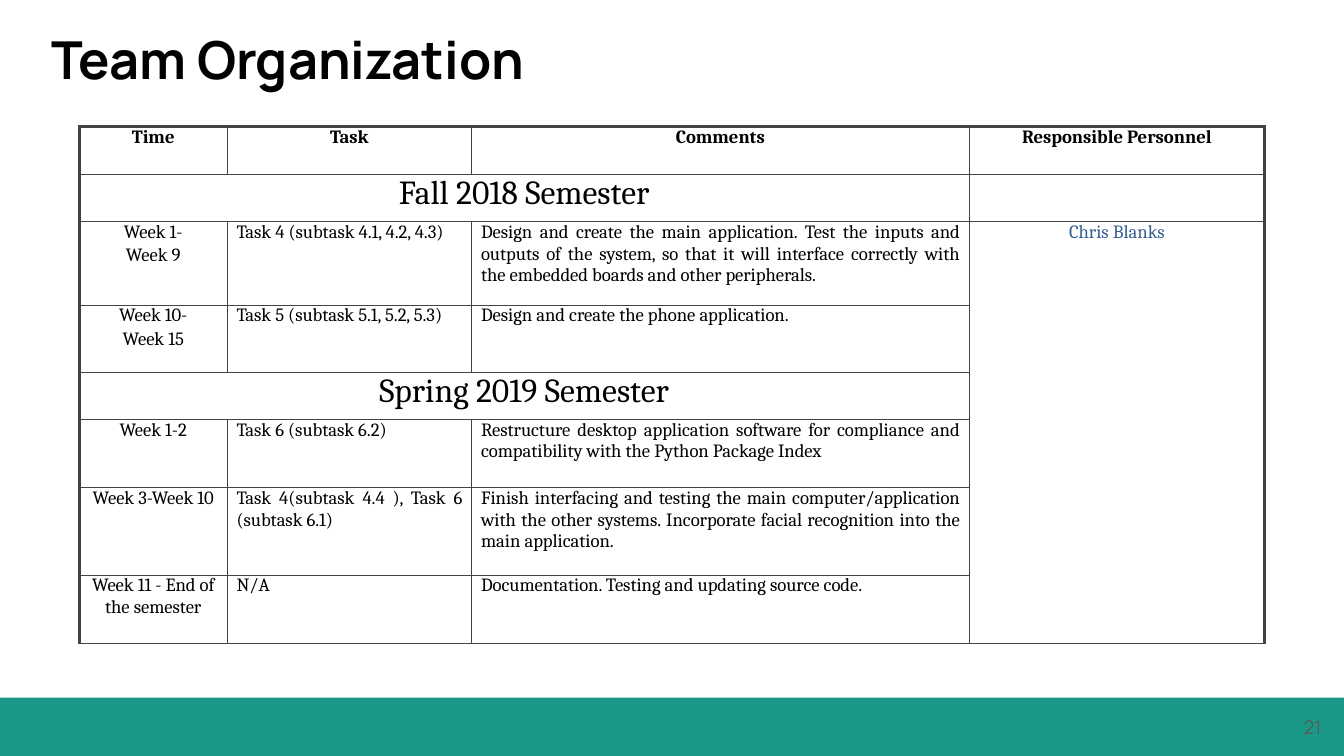
"""Build the team organization slide with its two-semester task table."""
from dataclasses import dataclass
from typing import Any

from lxml import etree
from pptx import Presentation
from pptx import util as u
from pptx.dml.color import RGBColor
from pptx.enum import shapes, text
from pptx.oxml import ns

TEAL = RGBColor(0x1A, 0x99, 0x88)
BLACK = RGBColor(0, 0, 0)
BLUE = RGBColor(0x36, 0x5F, 0x91)
GRAY = RGBColor(0x59, 0x59, 0x59)
BORDER = RGBColor(0x43, 0x43, 0x43)
CENTER = text.PP_ALIGN.CENTER
JUSTIFY = text.PP_ALIGN.JUSTIFY
LEFT = text.PP_ALIGN.LEFT
RIGHT = text.PP_ALIGN.RIGHT
COL_WIDTHS = (1.1, 1.82, 3.7, 2.2)


@dataclass(frozen=True)
class Row:
    height: float
    cells: tuple[str, ...]
    size: int = 10
    bold: bool = False
    align: Any = JUSTIFY
    merged: bool = False


def semester(name: str) -> Row:
    return Row(0.35, (name,), size=18, align=CENTER, merged=True)


ROWS = (
    Row(0.36, ("Time", "Task", "Comments", "Responsible Personnel"), bold=True, align=CENTER),
    semester("Fall 2018 Semester"),
    Row(0.62, ("Week 1-\nWeek 9", "Task 4 (subtask 4.1, 4.2, 4.3)",
               "Design and create the main application. Test the inputs and outputs of the "
               "system, so that it will interface correctly with the embedded boards and "
               "other peripherals.", "Chris Blanks")),
    Row(0.5, ("Week 10-\nWeek 15", "Task 5 (subtask 5.1, 5.2, 5.3)",
              "Design and create the phone application."), align=LEFT),
    semester("Spring 2019 Semester"),
    Row(0.51, ("Week 1-2", "Task 6 (subtask 6.2)",
               "Restructure desktop application software for compliance and compatibility "
               "with the Python Package Index")),
    Row(0.65, ("Week 3-Week 10", "Task 4(subtask 4.4 ), Task 6 (subtask 6.1)",
               "Finish interfacing and testing the main computer/application with the other "
               "systems. Incorporate facial recognition into the main application.")),
    Row(0.51, ("Week 11 - End of the semester", "N/A",
               "Documentation. Testing and updating source code.")),
)


def set_font(p: Any, name: str, size: float, color: RGBColor, bold: bool = False) -> None:
    p.font.name, p.font.size, p.font.bold = name, u.Pt(size), bold
    p.font.color.rgb = color


def add_text(s: Any, words: str, box: tuple[float, ...], align: Any) -> Any:
    tf = s.shapes.add_textbox(*map(u.Inches, box)).text_frame
    tf.word_wrap = True
    tf.margin_left = tf.margin_right = tf.margin_top = tf.margin_bottom = u.Inches(0.1)
    p = tf.paragraphs[0]
    p.text, p.alignment = words, align
    return p


def set_borders(cell: Any, row: int, col: int) -> None:
    thick = {"L": col == 0, "R": col == len(COL_WIDTHS) - 1, "T": row == 0, "B": False}
    tc_pr = cell._tc.get_or_add_tcPr()
    for side, outer in thick.items():
        width = u.Pt(1.5 if outer else 0.5)
        ln = etree.SubElement(tc_pr, ns.qn(f"a:ln{side}"), w=str(width))
        fill = etree.SubElement(ln, ns.qn("a:solidFill"))
        etree.SubElement(fill, ns.qn("a:srgbClr"), val=str(BORDER))


def fill_cell(cell: Any, words: str, row: Row, col: int) -> None:
    person = col == 3 and not row.bold
    cell.margin_left = cell.margin_right = u.Inches(0.07)
    cell.margin_top = cell.margin_bottom = 0
    cell.text = words
    paragraphs = cell.text_frame.paragraphs
    for p in paragraphs:
        p.alignment = CENTER if col in (0, 3) else row.align
        p.space_before = u.Pt(1)
        set_font(p, "Cambria", row.size, BLUE if person else BLACK, row.bold)
    paragraphs[-1].space_after = u.Pt(1)


def add_schedule(s: Any) -> None:
    height = sum(row.height for row in ROWS)
    frame = s.shapes.add_table(len(ROWS), len(COL_WIDTHS), u.Inches(0.59), u.Inches(0.94),
                               u.Inches(sum(COL_WIDTHS)), u.Inches(height))
    table = frame.table
    table.first_row = table.horz_banding = False
    for column, width in zip(table.columns, COL_WIDTHS):
        column.width = u.Inches(width)
    for i, row in enumerate(ROWS):
        table.rows[i].height = u.Inches(row.height)
        for j in range(len(COL_WIDTHS)):
            cell = table.cell(i, j)
            set_borders(cell, i, j)
            cell.fill.background()
            fill_cell(cell, row.cells[j] if j < len(row.cells) else "", row, j)
        if row.merged:
            table.cell(i, 0).merge(table.cell(i, 2))
    table.cell(2, 3).merge(table.cell(len(ROWS) - 1, 3))


def main() -> None:
    prs = Presentation()
    prs.slide_width = u.Inches(10)
    prs.slide_height = u.Inches(10 * 9 / 16)
    s = prs.slides.add_slide(prs.slide_layouts[6])

    sp = s.shapes.add_shape(shapes.MSO_SHAPE.RECTANGLE, 0, u.Inches(5.19),
                            prs.slide_width, prs.slide_height - u.Inches(5.19))
    sp.shadow.inherit = False
    sp.fill.solid()
    sp.fill.fore_color.rgb = TEAL
    sp.line.fill.background()

    title = add_text(s, "Team Organization", (0.2, 0.1, 3.88, 0.59), CENTER)
    set_font(title, "Manrope", 28, BLACK, bold=True)
    add_schedule(s)
    number = add_text(s, "21", (9.33, 5.24, 0.6, 0.35), RIGHT)
    set_font(number, "Manrope", 10, GRAY)

    prs.save("out.pptx")


if __name__ == "__main__":
    main()
